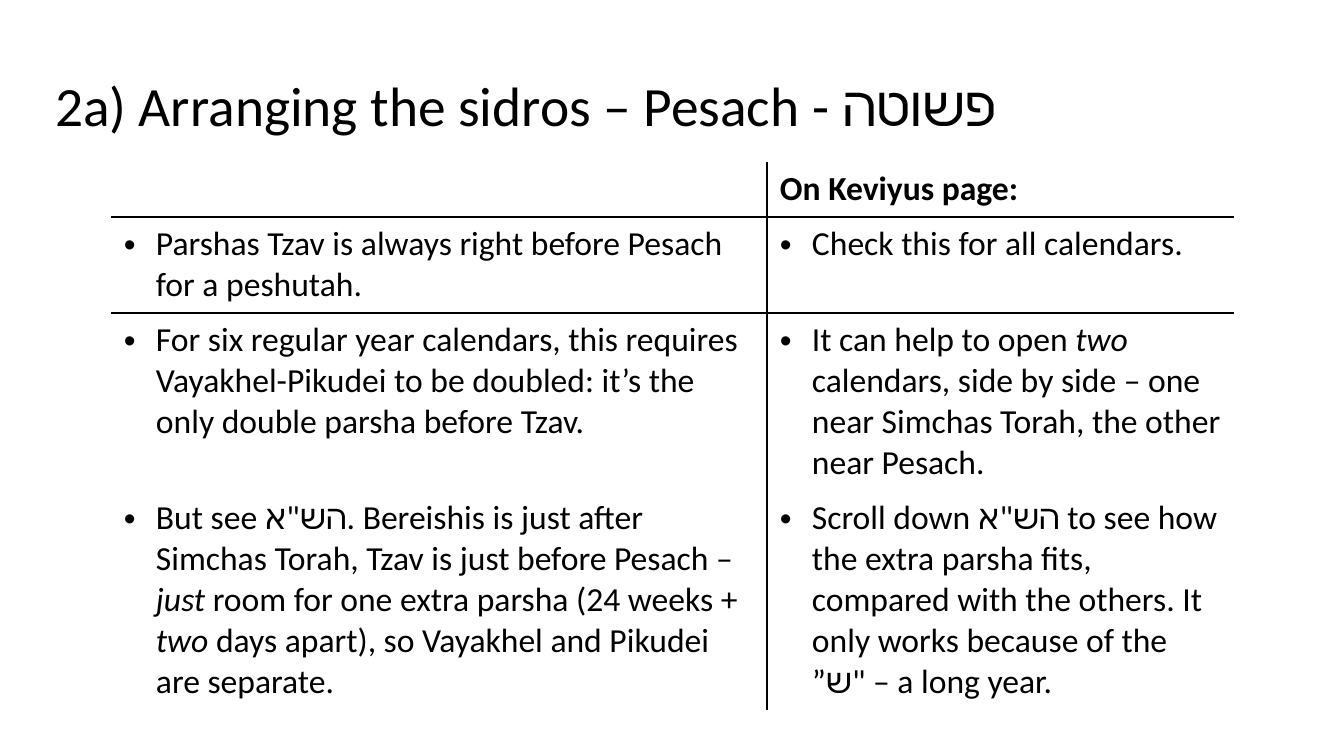
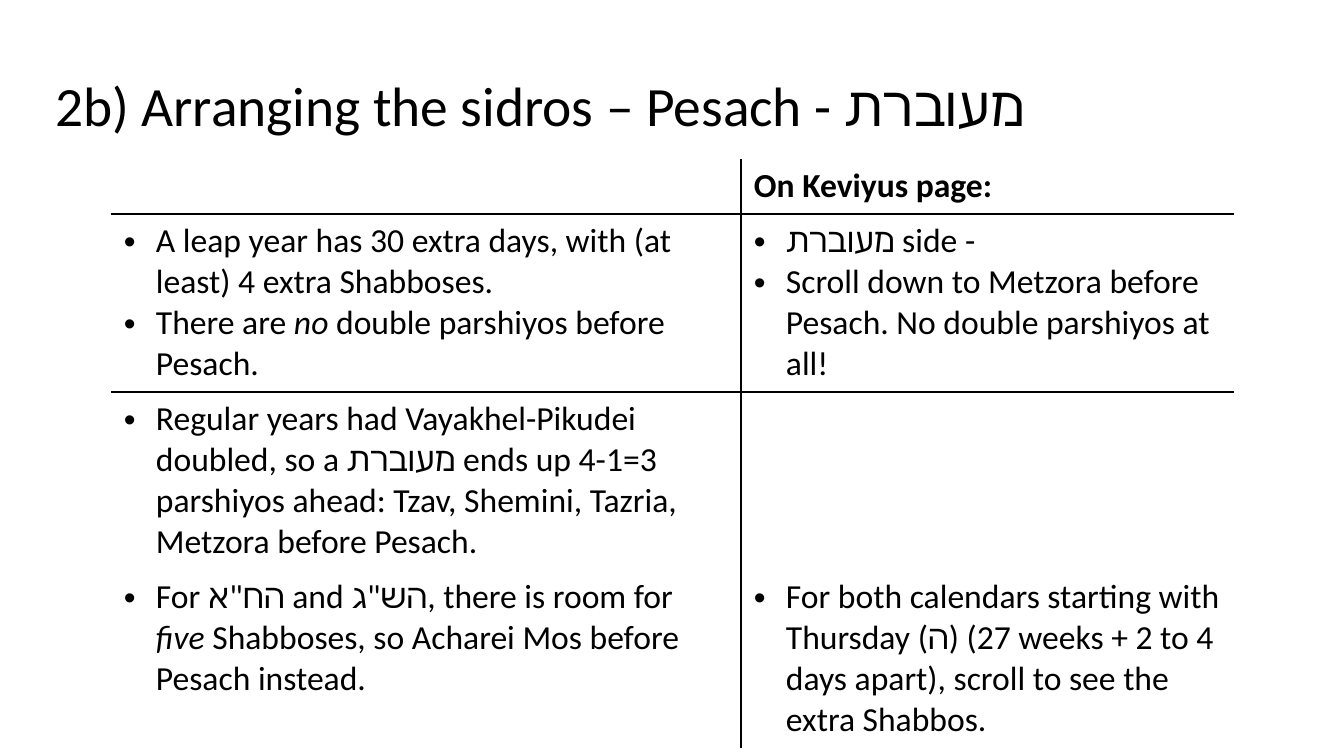
from dataclasses import dataclass

from lxml.etree import SubElement
from pptx import Presentation
from pptx.dml.color import RGBColor
from pptx.enum.text import MSO_ANCHOR, MSO_AUTO_SIZE, PP_ALIGN
from pptx.oxml.ns import qn
from pptx.util import Pt

SCALE = 914400 / 100.8
FONT = "Calibri"
COLORS = {"page": "FFFFFF", "ink": "000000"}
TITLE_SIZE = 39.6
BODY_SIZE = 24
HEADER = "On Keviyus page:"
HEAD_ROW = 54
TABLE_LEFT = 111
PLAIN_STYLE = "{2D5ABB26-0587-4C30-8999-92F81FD0307C}"


@dataclass(frozen=True)
class Row:
    height: int
    left: tuple[str, ...]
    right: tuple[str, ...] = ()


@dataclass(frozen=True)
class Page:
    title: str
    top: int
    widths: tuple[int, int]
    rows: tuple[Row, ...]


PAGES = (
    Page("2a) Arranging the sidros – Pesach - פשוטה", 162, (656, 467), (
        Row(94,
            ("Parshas Tzav is always right before Pesach for a peshutah.",),
            ("Check this for all calendars.",)),
        Row(174,
            ("For six regular year calendars, this requires Vayakhel-Pikudei "
             "to be doubled: it’s the only double parsha before Tzav.",),
            ("It can help to open *two* calendars, side by side – one near "
             "Simchas Torah, the other near Pesach.",)),
        Row(215,
            ("But see הש\"א. Bereishis is just after Simchas Torah, Tzav is "
             "just before Pesach – *just *room for one extra parsha "
             "(24 weeks + *two* days apart), so Vayakhel and Pikudei "
             "are separate.",),
            ("Scroll down הש\"א to see how the extra parsha fits, compared "
             "with the others. It only works because of the "
             "”ש\" – a long year.",)),
    )),
    Page("2b) Arranging the sidros – Pesach - מעוברת", 159, (630, 493), (
        Row(174,
            ("A leap year has 30 extra days, with (at least) 4 extra "
             "Shabboses.",
             "There are *no* double parshiyos before Pesach."),
            ("מעוברת side -",
             "Scroll down to Metzora before Pesach. No double parshiyos "
             "at all!")),
        Row(174,
            ("Regular years had Vayakhel-Pikudei doubled, so a מעוברת ends "
             "up 4-1=3 parshiyos ahead: Tzav, Shemini, Tazria, Metzora "
             "before Pesach.",)),
        Row(174,
            ("For הח\"א and הש\"ג, there is room for *five *Shabboses, so "
             "Acharei Mos before Pesach instead.",),
            ("For both calendars starting with Thursday (ה) (27 weeks + "
             "2 to 4 days apart), scroll to see the extra Shabbos.",)),
    )),
)


def px(count: int) -> int:
    return round(count * SCALE)


def color(name: str) -> RGBColor:
    return RGBColor.from_string(COLORS[name])


def write(para, text: str, size: float, bold: bool = False) -> None:
    for index, part in enumerate(text.split("*")):
        if not part:
            continue
        run = para.add_run()
        run.text = part
        font = run.font
        font.name = FONT
        font.size = Pt(size)
        font.bold = bold
        font.italic = index % 2 == 1
        font.color.rgb = color("ink")
        SubElement(font._element, qn("a:cs"), typeface=FONT)


def add_dot(para) -> None:
    props = para._p.get_or_add_pPr()
    props.set("marL", str(px(32)))
    props.set("indent", str(px(-32)))
    SubElement(props, qn("a:buFont"), typeface="Arial")
    SubElement(props, qn("a:buChar"), char="•")


def add_edge(cell, side: str) -> None:
    props = cell._tc.get_or_add_tcPr()
    line = SubElement(props, qn(f"a:ln{side}"), w=str(Pt(1)))
    fill = SubElement(line, qn("a:solidFill"))
    SubElement(fill, qn("a:srgbClr"), val=COLORS["ink"])


def dress(cell, row: int, col: int) -> None:
    sides = ("R" if col == 0 else "L",)
    if row < 2:
        sides += ("B" if row == 0 else "T",)
    for side in sides:
        add_edge(cell, side)
    cell.fill.background()
    cell.margin_left = cell.margin_right = px(13)
    cell.margin_top = cell.margin_bottom = px(7)


def add_list(cell, items: tuple[str, ...]) -> None:
    frame = cell.text_frame
    for index, item in enumerate(items):
        para = frame.add_paragraph() if index else frame.paragraphs[0]
        add_dot(para)
        write(para, item, BODY_SIZE)


def add_title(slide, text: str) -> None:
    title = slide.shapes.title
    title.left, title.top = px(45), px(66)
    title.width, title.height = px(1252), px(85)
    frame = title.text_frame
    frame.word_wrap = True
    frame.auto_size = MSO_AUTO_SIZE.NONE
    frame.vertical_anchor = MSO_ANCHOR.MIDDLE
    frame.margin_left = frame.margin_right = px(10)
    frame.margin_top = frame.margin_bottom = px(10)
    para = frame.paragraphs[0]
    para.alignment = PP_ALIGN.LEFT
    para.line_spacing = 0.9
    write(para, text, TITLE_SIZE)


def add_grid(slide, page: Page) -> None:
    heights = [HEAD_ROW] + [row.height for row in page.rows]
    table = slide.shapes.add_table(
        len(heights), 2, px(TABLE_LEFT), px(page.top),
        px(sum(page.widths)), px(sum(heights))).table
    table._tbl.tblPr.find(qn("a:tableStyleId")).text = PLAIN_STYLE
    table.horz_banding = False
    for index, width in enumerate(page.widths):
        table.columns[index].width = px(width)
    for index, height in enumerate(heights):
        table.rows[index].height = px(height)
        for col in range(2):
            dress(table.cell(index, col), index, col)
    head = table.cell(0, 1).text_frame.paragraphs[0]
    write(head, HEADER, BODY_SIZE, bold=True)
    for index, row in enumerate(page.rows, 1):
        add_list(table.cell(index, 0), row.left)
        add_list(table.cell(index, 1), row.right)


def main() -> None:
    deck = Presentation()
    deck.slide_width, deck.slide_height = px(1344), px(756)
    for page in PAGES:
        slide = deck.slides.add_slide(deck.slide_layouts[5])
        fill = slide.background.fill
        fill.solid()
        fill.fore_color.rgb = color("page")
        add_title(slide, page.title)
        add_grid(slide, page)
    deck.save("out.pptx")


main()
